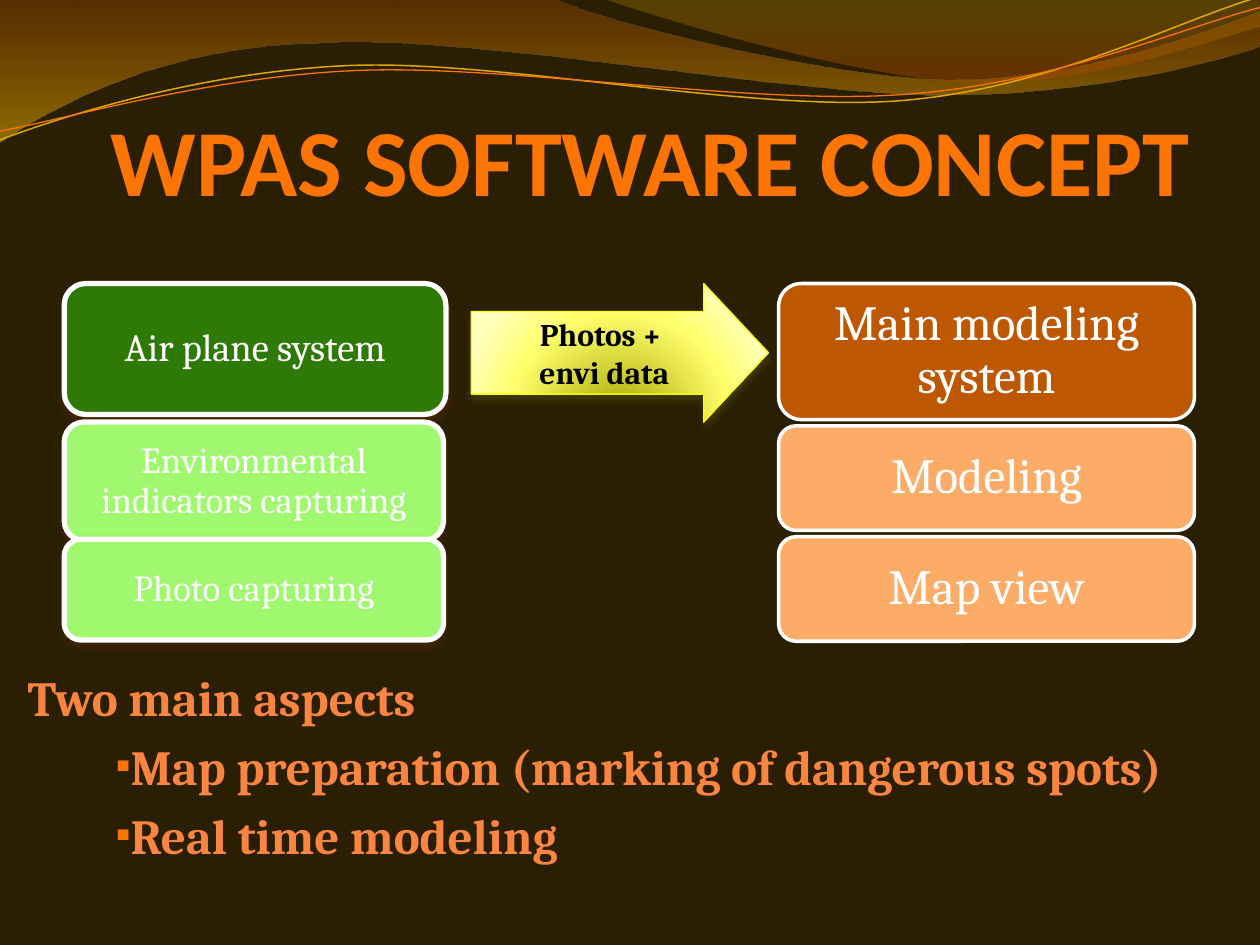
"""Build the WPAS software concept slide."""
from dataclasses import dataclass
from math import cos, radians, sin
from typing import Optional

from lxml.etree import SubElement
from pptx import Presentation
from pptx.dml.color import RGBColor
from pptx.enum.shapes import MSO_SHAPE
from pptx.enum.text import MSO_ANCHOR, PP_ALIGN
from pptx.oxml.ns import qn
from pptx.util import Inches, Pt


@dataclass(frozen=True)
class Theme:
    background: str = "2A1F03"
    accent: str = "FC7404"
    gold: str = "E1A900"
    white: str = "FFFFFF"
    black: str = "000000"
    dark_green: str = "2F7A06"
    light_green: str = "9FF86D"
    dark_orange: str = "BE5702"
    light_orange: str = "FDAC68"
    yellow: str = "FFFF00"
    brown_shadow: str = "5A2900"
    olive_shadow: str = "5A5A00"
    heading_font: str = "Calibri"
    body_font: str = "Cambria"
    title_size: int = 54
    body_size: int = 28
    arrow_size: int = 18


THEME = Theme()


@dataclass(frozen=True)
class Stop:
    position: int
    color: str
    opacity: int = 100


@dataclass(frozen=True)
class Wave:
    start: tuple
    segments: tuple
    stops: tuple = ()
    line: Optional[str] = None
    line_width: float = 0.75
    tilt: float = 0
    pivot: tuple = (0, 0)


@dataclass(frozen=True)
class Box:
    text: str
    top: float
    height: float
    width: float
    fill: str
    size: int


@dataclass(frozen=True)
class Stack:
    left: float
    border: float
    inset: float
    shadow: Optional[str]
    boxes: tuple


WAVES = (
    Wave((0, 0), (
        ((4.4, -0.01),),
        ((4.76, 0.17), (6.64, 0.63), (7.58, 0.63)),
        ((8.53, 0.63), (9.58, 0.26), (10, 0.09)),
        ((10.01, 0.36),),
        ((9.83, 0.44), (8.7, 0.76), (7.46, 0.75)),
        ((6.22, 0.75), (3.82, 0.28), (2.57, 0.34)),
        ((1.29, 0.36), (0.46, 0.83), (-0.01, 1.13)),
    ), (Stop(0, "8D3F00", 45), Stop(100, "E7AE00", 55))),
    Wave((4.79, -0.01), (
        ((5.09, 0.11), (6.82, 0.62), (7.69, 0.65)),
        ((8.56, 0.69), (9.61, 0.32), (10, 0.21)),
        ((10, 0),),
    ), (Stop(0, "BD8E00", 30), Stop(80, "A94C00", 45))),
    Wave((0, 1.11), (
        ((0.48, 0.93), (1.58, 0.57), (2.77, 0.52)),
        ((3.95, 0.47), (5.93, 0.89), (7.13, 0.8)),
        ((8.33, 0.71), (9.38, 0.15), (9.98, -0.02)),
    ), line=THEME.gold, line_width=0.85, tilt=-2.7, pivot=(4.99, 0.57)),
    Wave((0, 1.04), (
        ((0.47, 0.96), (1.64, 0.61), (2.83, 0.56)),
        ((4.03, 0.51), (5.97, 0.84), (7.17, 0.75)),
        ((8.36, 0.67), (9.41, 0.21), (10, 0.06)),
    ), line=THEME.accent, tilt=-2.7, pivot=(5, 0.59)),
)

STACKS = (
    Stack(6.18, 2, 0.12, None, (
        Box("Main modeling system", 2.25, 1.08, 3.3, THEME.dark_orange, 28),
        Box("Modeling", 3.38, 0.83, 3.3, THEME.light_orange, 28),
        Box("Map view", 4.26, 0.83, 3.3, THEME.light_orange, 28),
    )),
    Stack(0.51, 3, 0.09, THEME.brown_shadow, (
        Box("Air plane system", 2.25, 1.04, 3.03, THEME.dark_green, 22),
        Box("Environmental indicators capturing", 3.35, 0.94, 3.01, THEME.light_green, 21),
        Box("Photo capturing", 4.28, 0.8, 3.01, THEME.light_green, 21),
    )),
)

ARROW_STOPS = (Stop(0, "A5A500"), Stop(68, "FFFF6C"), Stop(100, "FFFFBD"))
TEXT_STOPS = (Stop(0, "F98B50"), Stop(25, "F98541"), Stop(50, "DE7400"),
              Stop(75, "F98541"), Stop(100, "F98B50"))
ASPECTS = ("Two main aspects", "Map preparation (marking of dangerous spots)",
           "Real time modeling")


def add_color(parent, color: str, opacity: int = 100) -> None:
    """Append an RGB colour with the given opacity in percent."""
    element = SubElement(parent, qn("a:srgbClr"), val=color)
    if opacity < 100:
        SubElement(element, qn("a:alpha"), val=str(opacity * 1000))


def add_gradient(parent, stops: tuple, circular: bool = False):
    """Append a downward gradient, or a circular one centred below the shape."""
    gradient = SubElement(parent, qn("a:gradFill"), rotWithShape="1")
    stop_list = SubElement(gradient, qn("a:gsLst"))
    for stop in stops:
        element = SubElement(stop_list, qn("a:gs"), pos=str(stop.position * 1000))
        add_color(element, stop.color, stop.opacity)
    if circular:
        circle = SubElement(gradient, qn("a:path"), path="circle")
        SubElement(circle, qn("a:fillToRect"), l="50000", t="130000", r="50000", b="-30000")
    else:
        SubElement(gradient, qn("a:lin"), ang="5400000", scaled="0")
    return gradient


def set_line(shape, color: str, width: float) -> None:
    """Give a shape a solid outline."""
    shape.line.color.rgb = RGBColor.from_string(color)
    shape.line.width = Pt(width)


def set_shadow(shape, color: Optional[str]) -> None:
    """Remove the inherited shadow and cast a soft one downward if a colour is given."""
    shape.shadow.inherit = False
    if color:
        effects = shape.element.spPr.find(qn("a:effectLst"))
        shadow = SubElement(effects, qn("a:outerShdw"), blurRad=str(Pt(4.5)),
                            dist=str(Pt(3)), dir="5400000", rotWithShape="0")
        add_color(shadow, color, 48)


def format_text(paragraph, font_name: str, size: int, color: str, bold: bool = False) -> None:
    """Format every run of a paragraph."""
    for run in paragraph.runs:
        run.font.name = font_name
        run.font.size = Pt(size)
        run.font.bold = bold
        run.font.color.rgb = RGBColor.from_string(color)


def set_insets(text_frame, horizontal: float, vertical: float) -> None:
    """Set the text margins and turn wrapping on."""
    text_frame.word_wrap = True
    text_frame.margin_left = text_frame.margin_right = Inches(horizontal)
    text_frame.margin_top = text_frame.margin_bottom = Inches(vertical)


def turn_back(point: tuple, wave: Wave) -> tuple:
    """Return a point as it lies before the wave is tilted about its pivot."""
    angle = radians(-wave.tilt)
    x, y = point[0] - wave.pivot[0], point[1] - wave.pivot[1]
    return (Inches(wave.pivot[0] + x * cos(angle) - y * sin(angle)),
            Inches(wave.pivot[1] + x * sin(angle) + y * cos(angle)))


def bend_segments(shape, segments: tuple) -> None:
    """Join each three straight steps of a curved segment into one cubic curve."""
    steps = iter(list(shape.element.spPr.iter(qn("a:lnTo"))))
    for segment in segments:
        first, *others = [next(steps) for _ in segment]
        if others:
            first.tag = qn("a:cubicBezTo")
            for step in others:
                first.append(step[0])
                step.getparent().remove(step)


def draw_wave(slide, wave: Wave) -> None:
    """Draw a filled wave or a thin wave line."""
    points = [wave.start] + [point for segment in wave.segments for point in segment]
    vertices = [turn_back(point, wave) for point in points]
    builder = slide.shapes.build_freeform(*vertices[0])
    builder.add_line_segments(vertices[1:], close=bool(wave.stops))
    shape = builder.convert_to_shape()
    bend_segments(shape, wave.segments)
    shape.rotation = wave.tilt
    if wave.stops:
        add_gradient(shape.element.spPr, wave.stops)
        shape.line.fill.background()
    else:
        shape.fill.background()
        set_line(shape, wave.line, wave.line_width)
    set_shadow(shape, None)


def draw_stack(slide, stack: Stack) -> None:
    """Draw a column of rounded boxes."""
    for box in stack.boxes:
        shape = slide.shapes.add_shape(
            MSO_SHAPE.ROUNDED_RECTANGLE, Inches(stack.left), Inches(box.top),
            Inches(box.width), Inches(box.height))
        shape.fill.solid()
        shape.fill.fore_color.rgb = RGBColor.from_string(box.fill)
        set_line(shape, THEME.white, stack.border)
        set_shadow(shape, stack.shadow)
        set_insets(shape.text_frame, stack.inset, 0.05)
        shape.text_frame.vertical_anchor = MSO_ANCHOR.MIDDLE
        shape.text_frame.text = box.text
        paragraph = shape.text_frame.paragraphs[0]
        paragraph.alignment = PP_ALIGN.CENTER
        paragraph.line_spacing = 0.9
        format_text(paragraph, THEME.body_font, box.size, THEME.white)


def draw_arrow(slide) -> None:
    """Draw the data arrow between the two systems."""
    shape = slide.shapes.add_shape(
        MSO_SHAPE.RIGHT_ARROW, Inches(3.74), Inches(2.25), Inches(2.36), Inches(1.1))
    shape.adjustments[0], shape.adjustments[1] = 0.596, 0.468
    add_gradient(shape.element.spPr, ARROW_STOPS, circular=True)
    set_line(shape, THEME.yellow, 0.75)
    set_shadow(shape, THEME.olive_shadow)
    shape.text_frame.word_wrap = True
    shape.text_frame.vertical_anchor = MSO_ANCHOR.MIDDLE
    shape.text_frame.text = "Photos +\nenvi data"
    for paragraph, indent in zip(shape.text_frame.paragraphs, (0, 0.06)):
        paragraph.alignment = PP_ALIGN.CENTER
        paragraph._p.get_or_add_pPr().set("marL", str(Inches(indent)))
        format_text(paragraph, THEME.body_font, THEME.arrow_size, THEME.black, True)


def draw_title(slide) -> None:
    """Place and format the title."""
    title = slide.shapes.title
    title.left, title.top, title.width, title.height = map(Inches, (0.75, 0.44, 8.82, 1.27))
    text_frame = title.text_frame
    set_insets(text_frame, 0, 0)
    text_frame.margin_top = Inches(0.05)
    text_frame.vertical_anchor = MSO_ANCHOR.BOTTOM
    text_frame.text = "WPAS SOFTWARE CONCEPT"
    text_frame.paragraphs[0].alignment = PP_ALIGN.CENTER
    format_text(text_frame.paragraphs[0], THEME.heading_font, THEME.title_size,
                THEME.accent, True)


def draw_aspects(slide) -> None:
    """Write the heading and its bulleted aspects."""
    text_box = slide.shapes.add_textbox(Inches(0.2), Inches(5.25), Inches(9.53), Inches(2.05))
    text_frame = text_box.text_frame
    set_insets(text_frame, 0.02, 0.05)
    text_frame.text = "\n".join(ASPECTS)
    for index, paragraph in enumerate(text_frame.paragraphs):
        if index:
            paragraph.level = 1
            paragraph.space_before = Pt(5.6)
            properties = paragraph._p.get_or_add_pPr()
            properties.set("marL", str(Inches(0.7)))
            properties.set("indent", "0")
            add_color(SubElement(properties, qn("a:buClr")), THEME.accent)
            SubElement(properties, qn("a:buSzPct"), val="85000")
            SubElement(properties, qn("a:buFont"), typeface=THEME.heading_font)
            SubElement(properties, qn("a:buChar"), char="▪")
        format_text(paragraph, THEME.body_font, THEME.body_size, TEXT_STOPS[0].color, True)
        for run in paragraph.runs:
            run_properties = run.font._element
            solid_fill = run_properties.find(qn("a:solidFill"))
            run_properties.replace(solid_fill, add_gradient(run_properties, TEXT_STOPS))


def main() -> None:
    """Build and save the presentation."""
    presentation = Presentation()
    presentation.slide_width, presentation.slide_height = Inches(10), Inches(7.5)
    slide = presentation.slides.add_slide(presentation.slide_layouts[5])
    slide.background.fill.solid()
    slide.background.fill.fore_color.rgb = RGBColor.from_string(THEME.background)
    for wave in WAVES:
        draw_wave(slide, wave)
    draw_title(slide)
    draw_aspects(slide)
    for stack in STACKS:
        draw_stack(slide, stack)
    draw_arrow(slide)
    presentation.save("out.pptx")


if __name__ == "__main__":
    main()
